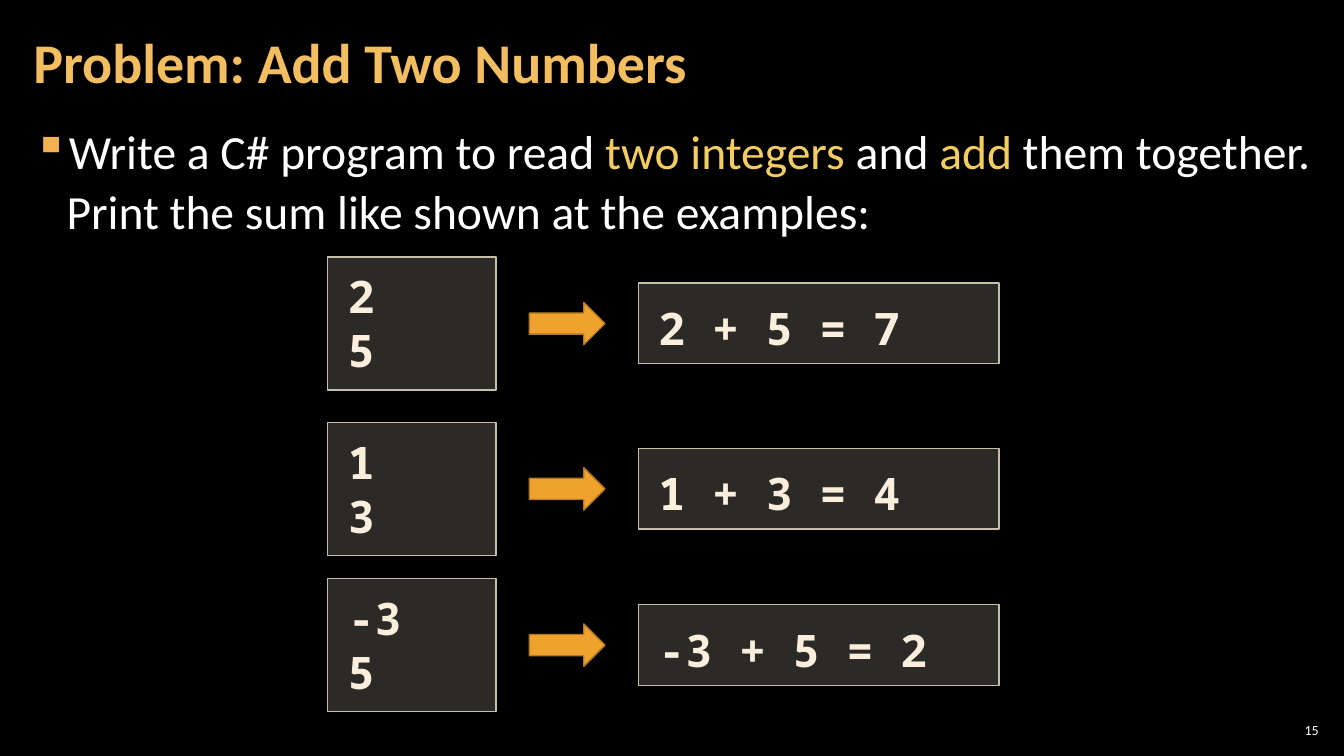
from lxml import etree
from pptx import Presentation
from pptx.dml.color import RGBColor
from pptx.enum.shapes import MSO_SHAPE
from pptx.enum.text import MSO_ANCHOR, MSO_AUTO_SIZE, PP_ALIGN
from pptx.oxml.ns import qn
from pptx.util import Inches, Pt

RECTANGLE, RIGHT_ARROW = MSO_SHAPE.RECTANGLE, MSO_SHAPE.RIGHT_ARROW
TOP, MIDDLE = MSO_ANCHOR.TOP, MSO_ANCHOR.MIDDLE
LEFT, RIGHT = PP_ALIGN.LEFT, PP_ALIGN.RIGHT
GROW = MSO_AUTO_SIZE.SHAPE_TO_FIT_TEXT

BLACK = RGBColor(0x00, 0x00, 0x00)
WHITE = RGBColor(0xFF, 0xFF, 0xFF)
TITLE_GOLD = RGBColor(0xF3, 0xBE, 0x60)
HIGHLIGHT = RGBColor(0xF3, 0xCD, 0x60)
BULLET = RGBColor(0xF2, 0xB2, 0x54)
BOX_FILL = RGBColor(0xD9, 0xD5, 0xC7)
BOX_LINE = RGBColor(0xC7, 0xBF, 0xAC)
CODE_TEXT = RGBColor(0xFB, 0xEE, 0xDC)
ARROW_FILL = RGBColor(0xF0, 0xA2, 0x2E)
ARROW_LINE = RGBColor(0xB2, 0x78, 0x22)
BODY_FONT, CODE_FONT = "Calibri", "Noto Sans Mono"

TITLE = "Problem: Add Two Numbers"
TASK = [
    ("Write a C# program to read ", WHITE),
    ("two integers", HIGHLIGHT),
    (" and ", WHITE),
    ("add", HIGHLIGHT),
    (" them together. Print the sum like shown at the examples:", WHITE),
]
# Row centre in inches, input lines, output line
EXAMPLES = [
    (3.21, ["2", "5"], "2 + 5 = 7"),
    (4.85, ["1", "3"], "1 + 3 = 4"),
    (6.40, ["-3", "5"], "-3 + 5 = 2"),
]
PAGE_NUMBER = "15"

# Left, width, height in inches
INPUT_BOX = (3.25, 1.67, 1.32)
ARROW = (5.25, 0.75, 0.42)
OUTPUT_BOX = (6.33, 3.58, 0.8)


def place(shape, left, top, width, height):
    shape.left, shape.top = Inches(left), Inches(top)
    shape.width, shape.height = Inches(width), Inches(height)


def set_frame(frame, horizontal, vertical, anchor):
    frame.word_wrap = True
    frame.vertical_anchor = anchor
    frame.margin_left = frame.margin_right = Inches(horizontal)
    frame.margin_top = frame.margin_bottom = Inches(vertical)


def set_font(run, name, size, color, bold=False):
    run.font.name, run.font.size, run.font.bold = name, Pt(size), bold
    run.font.color.rgb = color


def add_bullet(paragraph, character, color):
    properties = paragraph._p.get_or_add_pPr()
    properties.set("marL", str(Inches(0.33)))
    properties.set("indent", str(Inches(-0.33)))
    bullet_color = etree.SubElement(properties, qn("a:buClr"))
    etree.SubElement(bullet_color, qn("a:srgbClr"), val=str(color))
    etree.SubElement(properties, qn("a:buChar"), char=character)


def add_centred_shape(slide, kind, centre, size, fill, line):
    """Add a shape whose vertical middle lies on the row centre."""
    left, width, height = size
    shape = slide.shapes.add_shape(
        kind, Inches(left), Inches(centre - height / 2), Inches(width), Inches(height))
    shape.shadow.inherit = False
    shape.fill.solid()
    shape.fill.fore_color.rgb = fill
    shape.line.color.rgb = line
    shape.line.width = Pt(1)
    return shape


def add_code_box(slide, centre, size, lines, line_spacing):
    box = add_centred_shape(slide, RECTANGLE, centre, size, BOX_FILL, BOX_LINE)
    color = box.fill._xPr.find(qn("a:solidFill")).find(qn("a:srgbClr"))
    etree.SubElement(color, qn("a:alpha"), val="20000")
    frame = box.text_frame
    set_frame(frame, 0.2, 0.12, TOP)
    frame.auto_size = GROW
    frame.text = "\n".join(lines)
    for paragraph in frame.paragraphs:
        paragraph.alignment = LEFT
        paragraph.line_spacing = line_spacing
        set_font(paragraph.runs[0], CODE_FONT, 32, CODE_TEXT, True)


def add_title(slide):
    title = slide.shapes.title
    place(title, 0.21, 0.04, 10.47, 1.21)
    set_frame(title.text_frame, 0.12, 0.04, MIDDLE)
    title.text_frame.text = TITLE
    paragraph = title.text_frame.paragraphs[0]
    paragraph.alignment = LEFT
    paragraph.line_spacing = 0.9
    set_font(paragraph.runs[0], BODY_FONT, 40, TITLE_GOLD, True)


def add_task(slide):
    task = slide.shapes.add_textbox(0, 0, 0, 0)
    place(task, 0.21, 1.14, 12.91, 6.09)
    set_frame(task.text_frame, 0.12, 0.04, TOP)
    paragraph = task.text_frame.paragraphs[0]
    paragraph.line_spacing = 1.05
    paragraph.space_before = paragraph.space_after = Pt(6)
    add_bullet(paragraph, "▪", BULLET)
    for text, color in TASK:
        run = paragraph.add_run()
        run.text = text
        set_font(run, BODY_FONT, 34, color)


def add_page_number(slide):
    number = slide.shapes.add_textbox(0, 0, 0, 0)
    place(number, 12.65, 7.14, 0.47, 0.21)
    set_frame(number.text_frame, 0.04, 0.04, MIDDLE)
    number.text_frame.text = PAGE_NUMBER
    paragraph = number.text_frame.paragraphs[0]
    paragraph.alignment = RIGHT
    set_font(paragraph.runs[0], BODY_FONT, 10, WHITE)


def main():
    presentation = Presentation()
    presentation.slide_width = Inches(13.33)
    presentation.slide_height = Inches(7.5)
    slide = presentation.slides.add_slide(presentation.slide_layouts[5])
    slide.background.fill.solid()
    slide.background.fill.fore_color.rgb = BLACK

    add_title(slide)
    add_task(slide)
    for centre, numbers, result in EXAMPLES:
        add_code_box(slide, centre, INPUT_BOX, numbers, 1.0)
        add_centred_shape(slide, RIGHT_ARROW, centre, ARROW, ARROW_FILL, ARROW_LINE)
        add_code_box(slide, centre, OUTPUT_BOX, [result], 1.1)
    add_page_number(slide)
    presentation.save("out.pptx")


if __name__ == "__main__":
    main()
